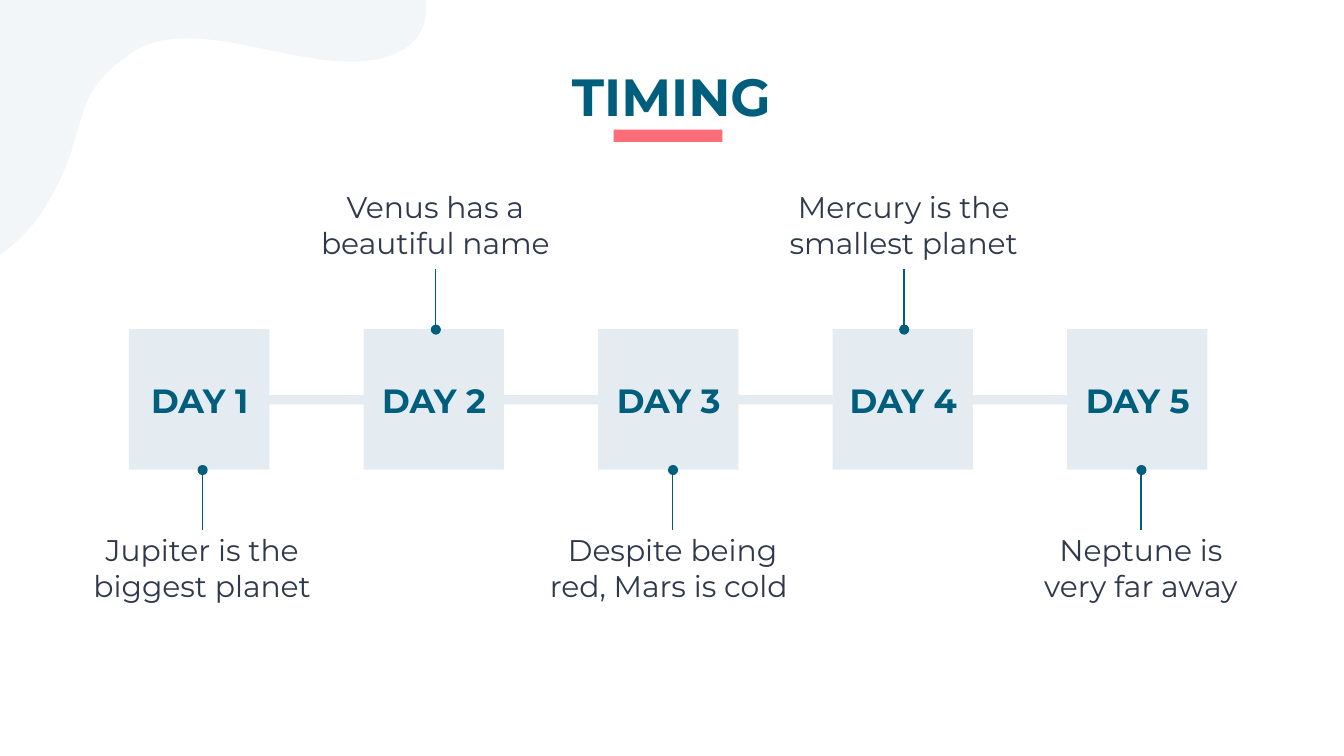
from itertools import chain

from lxml import etree
from pptx import Presentation
from pptx.dml.color import RGBColor
from pptx.enum.shapes import MSO_CONNECTOR, MSO_SHAPE
from pptx.enum.text import MSO_ANCHOR, MSO_AUTO_SIZE, PP_ALIGN
from pptx.oxml.ns import qn
from pptx.util import Pt

PX = 4572  # EMU, 200 px to the inch
WIDTH, HEIGHT = 2000, 1125
RECT, OVAL = MSO_SHAPE.RECTANGLE, MSO_SHAPE.OVAL
STRAIGHT = MSO_CONNECTOR.STRAIGHT
CENTER, MIDDLE = PP_ALIGN.CENTER, MSO_ANCHOR.MIDDLE
NO_AUTOFIT = MSO_AUTO_SIZE.NONE

FONT = "Montserrat"
TEAL, INK, PINK = "005E7D", "30394B", "FC6D78"
PALE, MIST = "E4ECF1", "F2F6F8"
INSET = 20

SQUARE, PITCH = 209, 349
PIN_LENGTH, DOT = 90, 15

# Label, note, centre of the note and its pin, width of the note
DAYS = [
    ("DAY 1", "Jupiter is the biggest planet", 301, 368),
    ("DAY 2", "Venus has a beautiful name", 648, 410),
    ("DAY 3", "Despite being red, Mars is cold ", 1001, 410),
    ("DAY 4", "Mercury is the smallest planet", 1345, 410),
    ("DAY 5", "Neptune is very far away", 1698, 360),
]

# Each curve: two control points and an end point
BLOB_START = (-166, -64)
BLOB_CURVES = [
    ((-242, 44), (-200, 146), (-198, 246)),
    ((-198, 344), (-284, 612), (-236, 546)),
    ((-210, 506), (6, 402), (58, 322)),
    ((142, 198), (92, 150), (194, 80)),
    ((296, 10), (476, 128), (588, 80)),
    ((662, 48), (648, -40), (546, -182)),
    ((522, -254), (248, -38), (158, -96)),
    ((54, -164), (-98, -162), BLOB_START),
]


def color(value):
    return RGBColor.from_string(value)


def emu(*lengths):
    return [length * PX for length in lengths]


def paint(shape, fill):
    shape.shadow.inherit = False
    shape.fill.solid()
    shape.fill.fore_color.rgb = color(fill)
    shape.line.fill.background()


def add_block(page, box, fill, preset=RECT):
    paint(page.shapes.add_shape(preset, *emu(*box)), fill)


def write(shape, text, size, ink, bold=False):
    frame = shape.text_frame
    frame.word_wrap = True
    frame.auto_size = NO_AUTOFIT
    frame.vertical_anchor = MIDDLE
    frame.margin_left = frame.margin_right = INSET * PX
    frame.margin_top = frame.margin_bottom = INSET * PX
    para = frame.paragraphs[0]
    para.alignment = CENTER
    span = para.add_run()
    span.text = text
    span.font.name = FONT
    span.font.size = Pt(size)
    span.font.bold = bold
    span.font.color.rgb = color(ink)


def add_text(page, box, text, **style):
    write(page.shapes.add_textbox(*emu(*box)), text, **style)


def add_curved_shape(page, start, curves, fill):
    """Build an outline through all points, then turn each three into a curve."""
    builder = page.shapes.build_freeform(*start, scale=PX)
    builder.add_line_segments(chain.from_iterable(curves), close=True)
    shape = builder.convert_to_shape()
    lines = list(shape._element.iter(qn("a:lnTo")))
    for index in range(0, len(curves) * 3, 3):
        curve = etree.Element(qn("a:cubicBezTo"))
        lines[index].addprevious(curve)
        for line in lines[index:index + 3]:
            curve.append(line[0])
    for line in lines:
        line.getparent().remove(line)
    paint(shape, fill)


def add_title(page, box, text):
    left, top, width, height = box
    add_block(page, (left + 757, top + 105, 162, 18), PINK)
    title = page.shapes.title
    title.left, title.top, title.width, title.height = emu(*box)
    write(title, text, size=28, ink=TEAL, bold=True)


def add_pin(page, x, start, end):
    """Draw a vertical line with a dot at its start."""
    add_block(page, (x - DOT // 2, start - DOT // 2, DOT, DOT), TEAL, OVAL)
    line = page.shapes.add_connector(STRAIGHT, *emu(x, start, x, end))
    line.line.color.rgb = color(TEAL)
    line.line.width = Pt(0.75)
    etree.SubElement(line._element.spPr, qn("a:effectLst"))


def add_timeline(page, box):
    """Draw the row of days, with notes by turns below and above."""
    left, top, width, height = box
    add_block(page, (left + 196, top + 98, width - 388, 14), PALE)
    for index, (label, note, center, note_width) in enumerate(DAYS):
        x = left + index * PITCH
        add_block(page, (x, top, SQUARE, SQUARE), PALE)
        add_text(page, (x + 3, top + 6, 204, 198), label,
                 size=18, ink=TEAL, bold=True)
        if index % 2:
            start, end = top, top - PIN_LENGTH
            note_top, note_height = top - 211, 110
        else:
            start, end = top + height, top + height + PIN_LENGTH
            note_top, note_height = top + height + 81, 130
        add_text(page,
                 (center - note_width // 2, note_top, note_width, note_height),
                 note, size=16, ink=INK)
        add_pin(page, center, start, end)


def main():
    deck = Presentation()
    deck.slide_width, deck.slide_height = emu(WIDTH, HEIGHT)
    page = deck.slides.add_slide(deck.slide_layouts[5])
    add_curved_shape(page, BLOB_START, BLOB_CURVES, MIST)
    add_title(page, (156, 88, 1686, 110), "TIMING")
    add_timeline(page, (192, 490, 4 * PITCH + SQUARE, SQUARE))
    deck.save("out.pptx")


if __name__ == "__main__":
    main()
